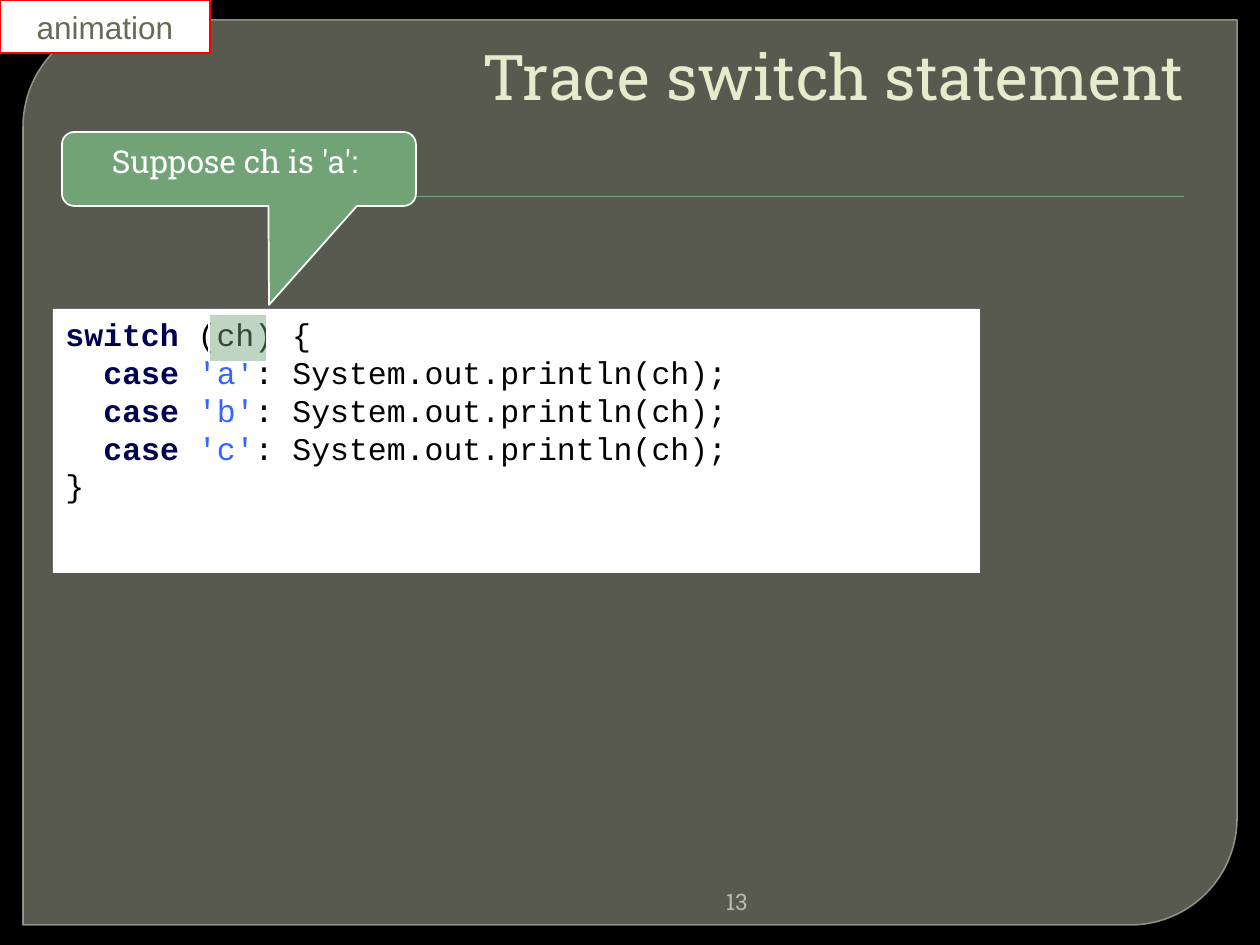
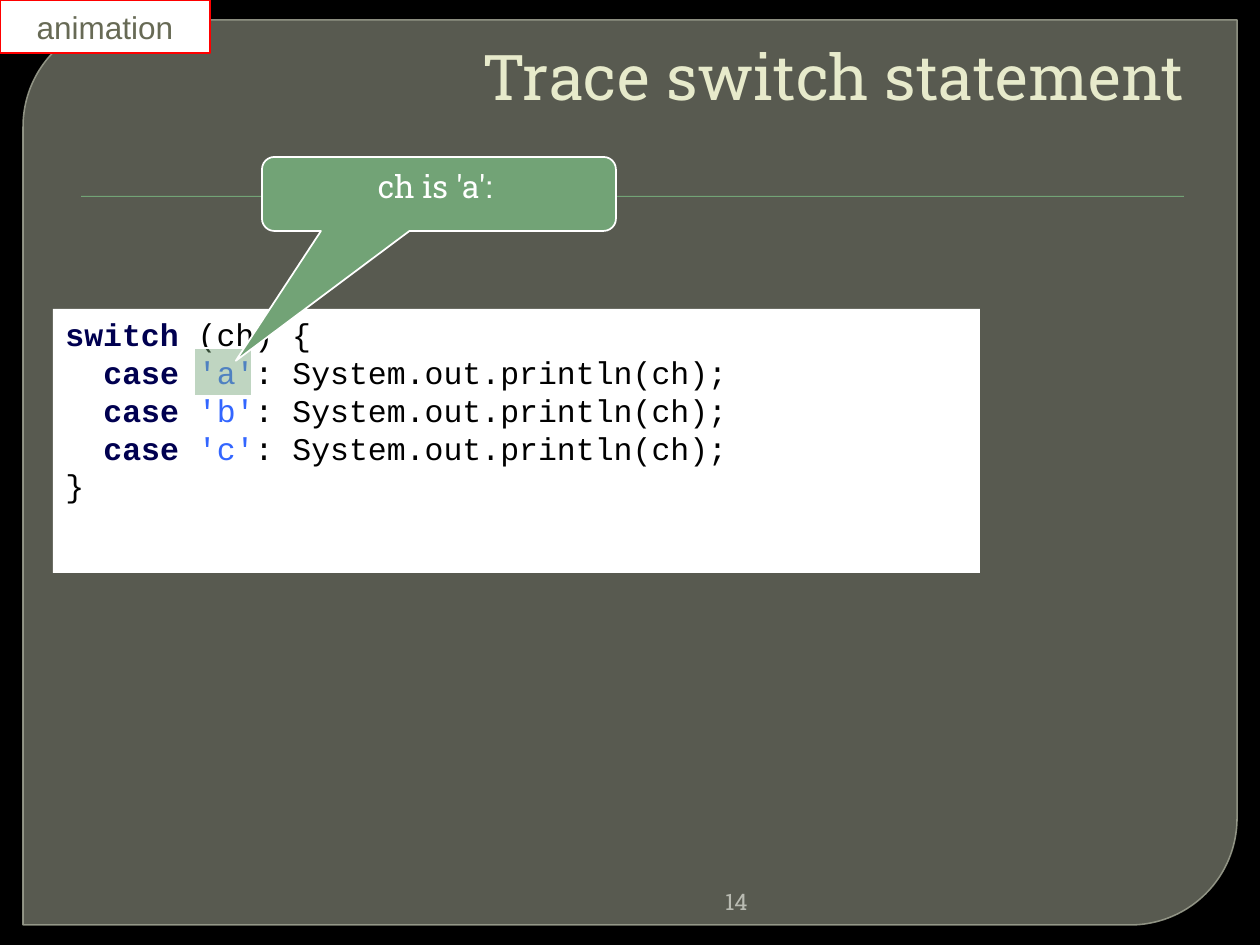
from pptx import Presentation, util as u
from pptx.dml import color
from pptx.enum import shapes, text
from pptx.oxml import xmlchemy
from lxml import etree

PX = 914400 / 126
SERIF, SANS, MONO = "Roboto Slab", "Arial", "Courier New"
WHITE, BLACK, GREEN = "FFFFFF", "000000", "72A376"
KEYWORD, LITERAL = "000050", "3366FF"
LEFT, CENTER, RIGHT = text.PP_ALIGN.LEFT, text.PP_ALIGN.CENTER, text.PP_ALIGN.RIGHT
TOP, MIDDLE, BOTTOM = text.MSO_ANCHOR.TOP, text.MSO_ANCHOR.MIDDLE, text.MSO_ANCHOR.BOTTOM
DRAWING = "{http://schemas.openxmlformats.org/drawingml/2006/main}"


def paint(fill, hex_code, opacity=100):
    fill.solid()
    fill.fore_color.rgb = color.RGBColor.from_string(hex_code)
    if opacity < 100:
        tint = fill._xPr.find(f"{DRAWING}solidFill/{DRAWING}srgbClr")
        etree.SubElement(tint, DRAWING + "alpha", val=str(opacity * 1000))


def write(shape, lines, font=SERIF, size=18, ink=WHITE, align=LEFT, anchor=TOP, wrap=True):
    frame = shape.text_frame
    frame.word_wrap = wrap
    frame.vertical_anchor = anchor
    for number, (indent, runs) in enumerate(lines):
        paragraph = frame.add_paragraph() if number else frame.paragraphs[0]
        paragraph.alignment = align
        if indent:
            paragraph._p.get_or_add_pPr().set("marL", str(round(indent * PX)))
        for words, run_ink, bold in runs:
            run = paragraph.add_run()
            run.text = words
            run.font.name = font
            run.font.size = u.Pt(size)
            run.font.bold = bold
            paint(run.font.fill, run_ink or ink)


code = [(0, [("switch", KEYWORD, True), (" (ch) {", BLACK, False)])]
for letter in "abc":
    code.append((38, [("case ", KEYWORD, True), (f"'{letter}'", LITERAL, False),
                      (": System.out.println(ch);", BLACK, False)]))
code.append((0, [("}", BLACK, False)]))

steps = [
    (13, "Suppose ch is 'a': ", (62, 132), (0.085, 1.837, 0.167), (209, 314)),
    (14, "ch is 'a': ", (262, 157), (-0.574, 2.254, 0.167), (194, 348)),
]

deck = Presentation()
deck.slide_width, deck.slide_height = round(1260 * PX), round(945 * PX)
RECT = shapes.MSO_SHAPE.RECTANGLE
PANEL = shapes.MSO_SHAPE.ROUND_2_DIAG_RECTANGLE
CALLOUT = shapes.MSO_SHAPE.ROUNDED_RECTANGULAR_CALLOUT

for page, remark, remark_at, pointer, marker_at in steps:
    slide = deck.slides.add_slide(deck.slide_layouts[6])
    paint(slide.background.fill, BLACK)

    labels = [
        ((179, 882, 581, 38), str(page), 13, "B9BBB2", TOP),
        ((95, 44, 1102, 69), "Trace switch statement", 36, "E7EACB", BOTTOM),
    ]
    parts = [
        (PANEL, (23, 20, 1214, 905), (0.118, 0), ("888B7B", 65), ("9DA090", 88, 0.87), None),
        (RECT, (81, 196, 1103, 1), (), (GREEN,), None, None),
        (RECT, (53, 309, 927, 264), (), (WHITE,), None, dict(lines=code, font=MONO)),
        (RECT, (*marker_at, 58, 48), (), (GREEN, 45), (WHITE, 100, 1), None),
        (CALLOUT, (*remark_at, 354, 74), pointer, (GREEN,), (WHITE, 100, 1),
         dict(lines=[(0, [(remark, None, False)])], align=CENTER)),
        (RECT, (0, 0, 210, 53), (), (WHITE,), ("FF0000", 100, 1),
         dict(lines=[(0, [("animation", None, False)])], font=SANS, ink="676A55",
              align=CENTER, anchor=MIDDLE, wrap=False)),
    ]

    for order, (kind, box, adjustments, fill, outline, wording) in enumerate(parts):
        if order == 2:
            for label_box, words, size, ink, anchor in labels:
                label = slide.shapes.add_textbox(*(round(v * PX) for v in label_box))
                label.text_frame.margin_bottom = 0
                write(label, [(0, [(words, None, False)])], size=size, ink=ink,
                      align=RIGHT, anchor=anchor)
        part = slide.shapes.add_shape(kind, *(round(v * PX) for v in box))
        part.shadow.inherit = False
        for index, value in enumerate(adjustments):
            part.adjustments[index] = value
        paint(part.fill, *fill)
        if outline:
            line_ink, opacity, width = outline
            part.line.width = u.Pt(width)
            paint(part.line.fill, line_ink, opacity)
        else:
            part.line.fill.background()
        if wording:
            write(part, **wording)

deck.save("out.pptx")
